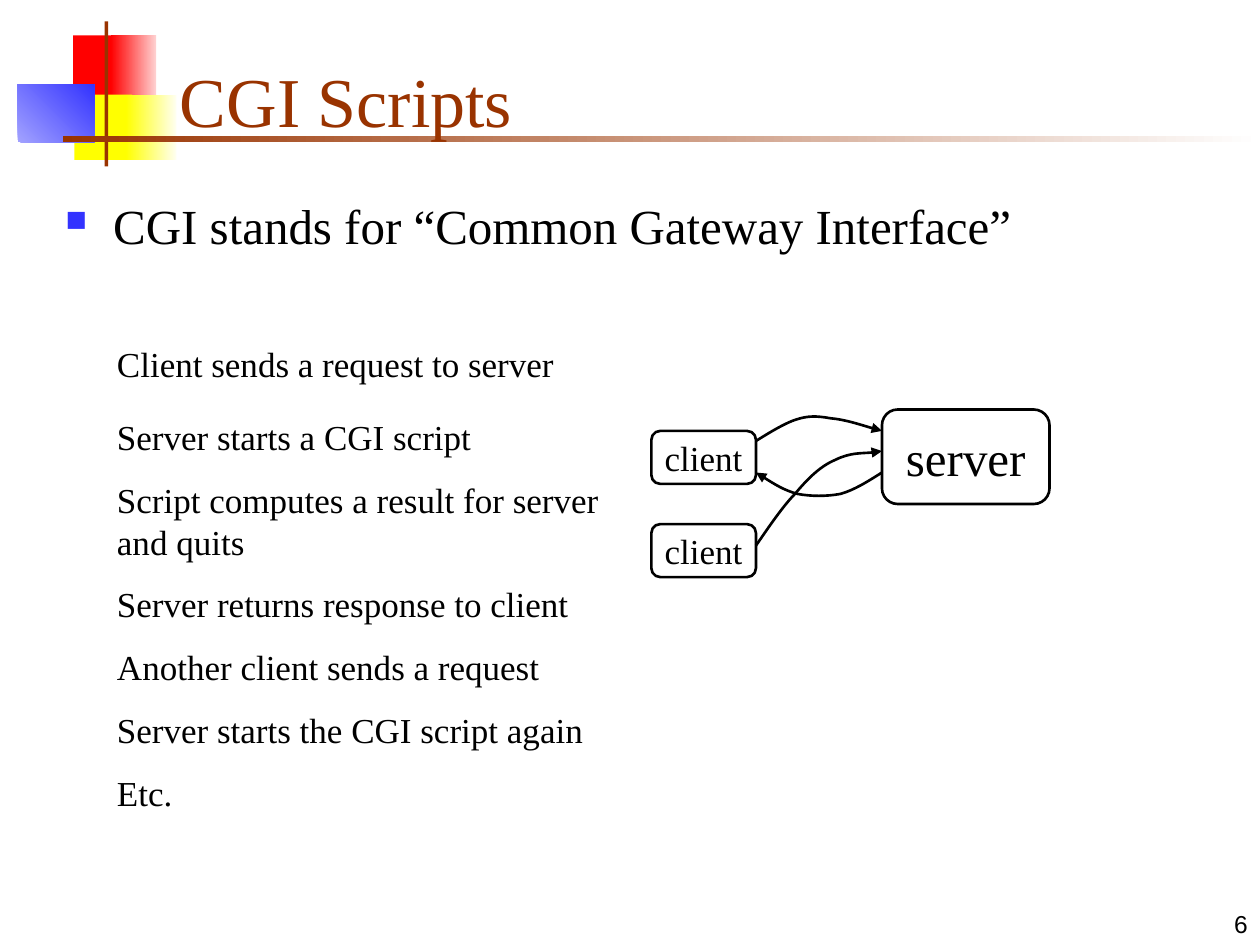
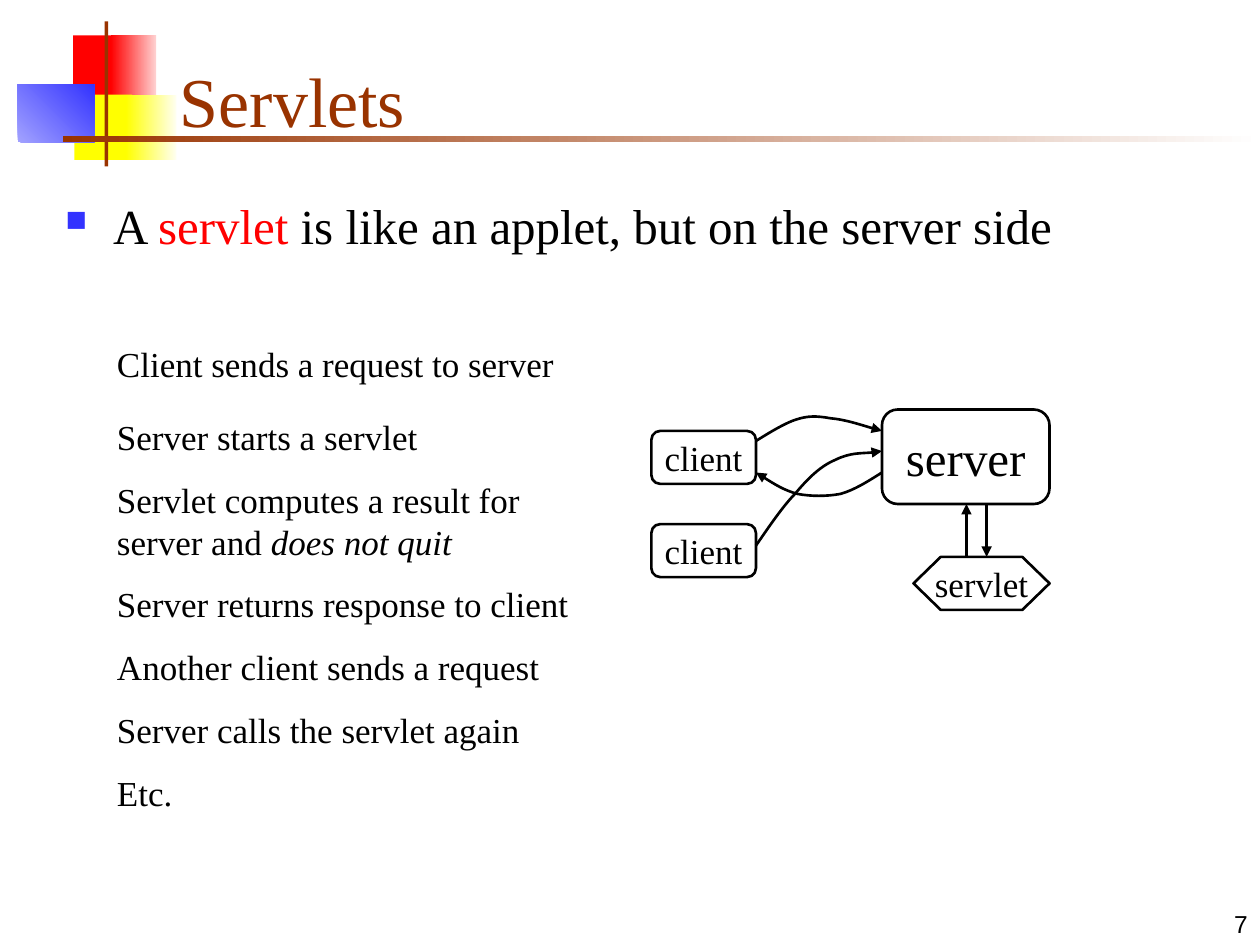
"""Builds two slides comparing CGI scripts with servlets."""
from dataclasses import dataclass
from itertools import accumulate
from typing import NamedTuple

from lxml import etree
from pptx import Presentation
from pptx.dml.color import RGBColor
from pptx.enum.shapes import MSO_CONNECTOR, MSO_SHAPE
from pptx.enum.text import MSO_ANCHOR, MSO_AUTO_SIZE, PP_ALIGN
from pptx.oxml.ns import qn
from pptx.util import Pt

PX = 9144
RECTANGLE = MSO_SHAPE.RECTANGLE
ROUNDED = MSO_SHAPE.FLOWCHART_ALTERNATE_PROCESS
HEXAGON = MSO_SHAPE.FLOWCHART_PREPARATION
STRAIGHT = MSO_CONNECTOR.STRAIGHT
TOP, MIDDLE, BOTTOM = MSO_ANCHOR.TOP, MSO_ANCHOR.MIDDLE, MSO_ANCHOR.BOTTOM
LEFT, CENTER, RIGHT = PP_ALIGN.LEFT, PP_ALIGN.CENTER, PP_ALIGN.RIGHT
GROW = MSO_AUTO_SIZE.SHAPE_TO_FIT_TEXT


@dataclass(frozen=True)
class Theme:
    serif: str = "Times New Roman"
    sans: str = "Arial"
    ink: str = "000000"
    brown: str = "993300"
    red: str = "FF0000"
    pink: str = "FFD1D1"
    yellow: str = "FFFF00"
    cream: str = "FFFFF0"
    blue: str = "3333FF"
    lilac: str = "A2A2FF"
    white: str = "FFFFFF"
    title_size: int = 40
    lead_size: int = 28
    step_size: int = 20
    number_size: int = 14
    lead_space: float = 7
    step_space: float = 12.5
    stroke: float = 1.5


THEME = Theme()


class Box(NamedTuple):
    left: int
    top: int
    width: int
    height: int

    def emu(self) -> list[int]:
        return [length * PX for length in self]


class Block(NamedTuple):
    box: Box
    start: str
    end: str = ""
    angle: int = 0


class Run(NamedTuple):
    text: str
    color: str = THEME.ink
    italic: bool = False


class Style(NamedTuple):
    size: int
    align: PP_ALIGN = LEFT
    anchor: MSO_ANCHOR = TOP
    font: str = THEME.serif
    space: float = 0


class Node(NamedTuple):
    label: str
    box: Box
    outline: MSO_SHAPE = ROUNDED
    size: int = THEME.step_size


class Topic(NamedTuple):
    number: str
    title: str
    lead: list[Run]
    steps: list[list[Run]]
    with_servlet: bool = False


TITLE_STYLE = Style(THEME.title_size, anchor=BOTTOM)
LEAD_STYLE = Style(THEME.lead_size, space=THEME.lead_space)
STEP_STYLE = Style(THEME.step_size, space=THEME.step_space)
NUMBER_STYLE = Style(THEME.number_size, RIGHT, BOTTOM, THEME.sans)

ORNAMENT = [
    Block(Box(58, 28, 35, 52), THEME.red),
    Block(Box(88, 28, 36, 52), THEME.red, THEME.pink),
    Block(Box(59, 75, 46, 52), THEME.yellow),
    Block(Box(100, 75, 40, 52), THEME.yellow, THEME.cream),
    Block(Box(14, 67, 61, 46), THEME.lilac, THEME.blue, 45),
    Block(Box(83, 17, 3, 115), THEME.brown),
    Block(Box(50, 108, 950, 5), THEME.brown, THEME.white),
]
STEP_TOPS = list(accumulate([267, 58, 50, 82, 50, 50, 50]))
NODES = [
    Node("client", Box(517, 342, 83, 42)),
    Node("client", Box(517, 416, 83, 42)),
    Node("server", Box(700, 325, 133, 75), size=THEME.lead_size),
]
SERVLET = Node("servlet", Box(725, 442, 108, 42), HEXAGON)
FIRST_REQUEST = [(600, 350), (605, 347), (622, 336), (632, 333), (641, 330),
                 (648, 330), (659, 332), (671, 333), (692, 340), (700, 342)]
RESPONSE = [(700, 375), (689, 382), (678, 389), (667, 392), (656, 394),
            (644, 394), (633, 392), (622, 389), (611, 382), (600, 375)]
SECOND_REQUEST = [(600, 433), (605, 426), (620, 403), (631, 392), (641, 380),
                  (651, 370), (663, 365), (675, 359), (692, 360), (700, 358)]
SERVLET_CALLS = [(767, 442, 400), (783, 400, 442)]

TOPICS = [
    Topic("6", "CGI Scripts",
          [Run("CGI stands for “Common Gateway Interface”")],
          [[Run("Client sends a request to server")],
           [Run("Server starts a CGI script")],
           [Run("Script computes a result for server and quits")],
           [Run("Server returns response to client")],
           [Run("Another client sends a request")],
           [Run("Server starts the CGI script again")],
           [Run("Etc.")]]),
    Topic("7", "Servlets",
          [Run("A "), Run("servlet", THEME.red),
           Run(" is like an applet, but on the server side")],
          [[Run("Client sends a request to server")],
           [Run("Server starts a servlet")],
           [Run("Servlet computes a result for server and "),
            Run("does not quit", italic=True)],
           [Run("Server returns response to client")],
           [Run("Another client sends a request")],
           [Run("Server calls the servlet again")],
           [Run("Etc.")]], with_servlet=True),
]


def rgb(color: str) -> RGBColor:
    return RGBColor.from_string(color)


def write(shape, runs: list[Run], style: Style):
    frame = shape.text_frame
    frame.vertical_anchor = style.anchor
    paragraph = frame.paragraphs[0]
    paragraph.alignment = style.align
    if style.space:
        paragraph.space_before = Pt(style.space)
    for piece in runs:
        run = paragraph.add_run()
        run.text = piece.text
        font = run.font
        font.name, font.size = style.font, Pt(style.size)
        font.color.rgb = rgb(piece.color)
        if piece.italic:
            font.italic = True
    return paragraph


def add_text(slide, box: Box, runs: list[Run], style: Style):
    area = slide.shapes.add_textbox(*box.emu())
    area.text_frame.word_wrap = True
    return area, write(area, runs, style)


def add_bullet(paragraph) -> None:
    props = paragraph._p.get_or_add_pPr()
    props.set("marL", str(38 * PX))
    props.set("indent", str(-38 * PX))
    tint = etree.SubElement(props, qn("a:buClr"))
    etree.SubElement(tint, qn("a:srgbClr"), val=THEME.blue)
    etree.SubElement(props, qn("a:buSzPct"), val="60000")
    etree.SubElement(props, qn("a:buChar"), char="■")


def add_block(slide, block: Block) -> None:
    shape = slide.shapes.add_shape(RECTANGLE, *block.box.emu())
    shape.shadow.inherit = False
    shape.line.fill.background()
    if not block.end:
        shape.fill.solid()
        shape.fill.fore_color.rgb = rgb(block.start)
        return
    shape.fill.gradient()
    shape.fill.gradient_angle = block.angle
    for stop, color in zip(shape.fill.gradient_stops, (block.start, block.end)):
        stop.color.rgb = rgb(color)


def stroke(shape, arrow: bool = False) -> None:
    shape.line.color.rgb = rgb(THEME.ink)
    shape.line.width = Pt(THEME.stroke)
    if arrow:
        outline = shape.element.spPr.find(qn("a:ln"))
        etree.SubElement(outline, qn("a:tailEnd"), type="triangle")


def add_node(slide, node: Node) -> None:
    shape = slide.shapes.add_shape(node.outline, *node.box.emu())
    shape.shadow.inherit = False
    shape.fill.background()
    stroke(shape)
    shape.text_frame.word_wrap = False
    write(shape, [Run(node.label)], Style(node.size, CENTER, MIDDLE))


def add_curve(slide, points: list[tuple[int, int]]) -> None:
    builder = slide.shapes.build_freeform(*points[0], scale=PX)
    builder.add_line_segments(points[1:], close=False)
    curve = builder.convert_to_shape()
    curve.shadow.inherit = False
    curve.fill.background()
    stroke(curve, arrow=True)
    route = next(curve.element.iter(qn("a:path")))
    segments = route.findall(qn("a:lnTo"))
    for first in range(0, len(segments), 3):
        bezier = etree.SubElement(route, qn("a:cubicBezTo"))
        for segment in segments[first:first + 3]:
            bezier.append(segment[0])
            route.remove(segment)


def add_arrow(slide, x: int, start: int, end: int) -> None:
    arrow = slide.shapes.add_connector(
        STRAIGHT, x * PX, start * PX, x * PX, end * PX)
    stroke(arrow, arrow=True)
    etree.SubElement(arrow.element.spPr, qn("a:effectLst"))


def add_frame(slide, topic: Topic) -> None:
    for block in ORNAMENT:
        add_block(slide, block)
    add_text(slide, Box(792, 700, 208, 50), [Run(topic.number)], NUMBER_STYLE)
    add_text(slide, Box(133, 25, 852, 92),
             [Run(topic.title, THEME.brown)], TITLE_STYLE)


def add_diagram(slide, with_servlet: bool) -> None:
    for curve in (FIRST_REQUEST, RESPONSE, SECOND_REQUEST):
        add_curve(slide, curve)
    for node in NODES:
        add_node(slide, node)
    if with_servlet:
        add_node(slide, SERVLET)
        for call in SERVLET_CALLS:
            add_arrow(slide, *call)


def add_topic(deck, topic: Topic) -> None:
    slide = deck.slides.add_slide(deck.slide_layouts[6])
    add_frame(slide, topic)
    _, lead = add_text(slide, Box(42, 150, 938, 68), topic.lead, LEAD_STYLE)
    add_bullet(lead)
    for top, step in zip(STEP_TOPS, topic.steps):
        height = 77 if sum(len(run.text) for run in step) > 40 else 44
        area, _ = add_text(slide, Box(83, top, 408, height), step, STEP_STYLE)
        area.text_frame.auto_size = GROW
    add_diagram(slide, topic.with_servlet)


def main() -> None:
    deck = Presentation()
    deck.slide_width, deck.slide_height = 1000 * PX, 750 * PX
    for topic in TOPICS:
        add_topic(deck, topic)
    deck.save("out.pptx")


if __name__ == "__main__":
    main()
